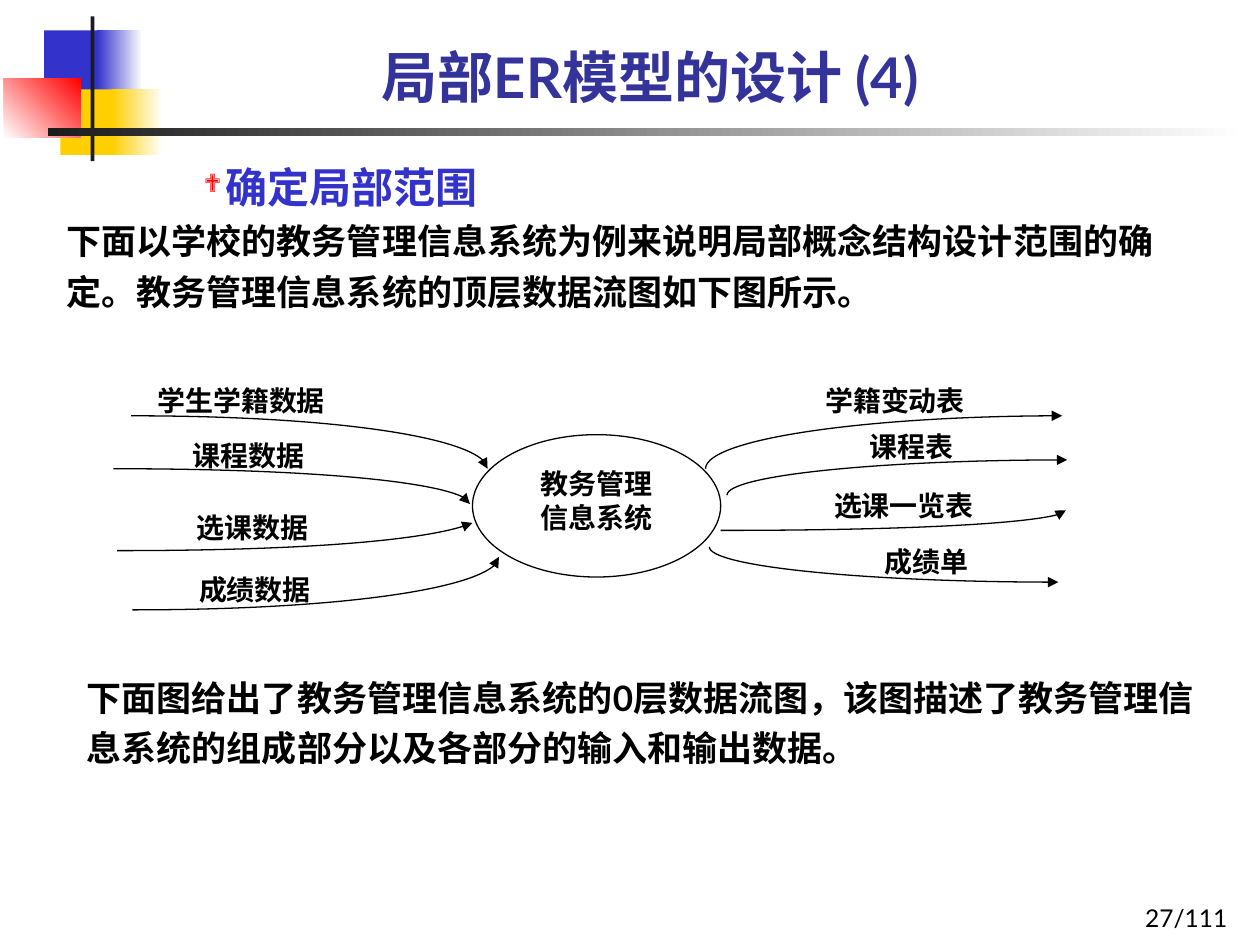
"""Build the slide on local ER design with its top-level data flow diagram."""
from dataclasses import dataclass

from lxml.etree import SubElement
from pptx import Presentation
from pptx.dml.color import RGBColor
from pptx.enum.shapes import MSO_SHAPE
from pptx.enum.text import MSO_ANCHOR, PP_ALIGN
from pptx.oxml.ns import qn
from pptx.util import Emu, Inches, Pt

COLUMNS, ROWS = 100, 75
CELL = Inches(0.1)
BLACK, INK, BLUE, YELLOW, RED, WHITE = "000000", "1C1C1C", "3333CC", "FFCF01", "FF0000", "FFFFFF"
ARC_PULL = 0.55


@dataclass(frozen=True)
class Box:
    column: float
    row: float
    columns: float
    rows: float


@dataclass(frozen=True)
class Block:
    box: Box
    start: str
    end: str = ""
    angle: int = 0


@dataclass(frozen=True)
class Style:
    size: int
    font: str = "Lato"
    color: str = BLACK
    bold: bool = True
    align: PP_ALIGN = PP_ALIGN.LEFT
    spacing: float = 1.0


@dataclass(frozen=True)
class Flow:
    label: str
    label_box: Box
    outer: tuple[float, float]
    inner: tuple[float, float]
    arrow: str
    lean: float = 0


ORNAMENT = [
    Block(Box(3.5, 2.4, 4.8, 5.2), BLUE),
    Block(Box(7.7, 2.4, 3.6, 5.2), BLUE, WHITE),
    Block(Box(4.8, 7.1, 4.6, 5.2), YELLOW),
    Block(Box(8.9, 7.1, 4, 5.2), YELLOW, WHITE),
    Block(Box(0.3, 6.2, 6.1, 4.7), WHITE, RED, 45),
    Block(Box(7.2, 1.3, 0.3, 11.5), INK),
    Block(Box(3.8, 10.2, 95.1, 0.6), INK, WHITE),
]

FLOWS = [
    Flow("学生学籍数据", Box(12.5, 30.4, 19.8, 2.8), (10.4, 33), (38.7, 37.2), "tailEnd"),
    Flow("课程数据", Box(15.3, 34.8, 13.9, 3.1), (9, 37.2), (37.3, 40), "tailEnd"),
    Flow("选课数据", Box(15.6, 40.5, 13.9, 3.1), (9.3, 43.7), (37.5, 41.5), "tailEnd", -2.7),
    Flow("成绩数据", Box(15.8, 45.4, 13.9, 3.1), (10.5, 48.4), (39.6, 44.2), "tailEnd"),
    Flow("学籍变动表", Box(65.5, 30.4, 17.6, 3.1), (84.3, 33), (56, 37.2), "headEnd"),
    Flow("课程表", Box(69, 34.1, 17.6, 3.1), (84.7, 36.5), (57.7, 39.3), "headEnd"),
    Flow("选课一览表", Box(66.2, 38.8, 17.6, 3.1), (57.2, 42.1), (84.6, 40.5), "tailEnd"),
    Flow("成绩单", Box(70.2, 43.2, 17.6, 3.1), (84, 46.2), (56.3, 43.4), "headEnd"),
]

TITLE = Style(32, color="333399", align=PP_ALIGN.CENTER)
HEADING = Style(24, color=BLUE, spacing=1.2)
BODY = Style(20, spacing=1.2)
PAGE = Style(14, bold=False, align=PP_ALIGN.RIGHT)
LABEL = Style(16, "Times New Roman", align=PP_ALIGN.JUSTIFY)
PROCESS = Style(16, "Times New Roman", align=PP_ALIGN.CENTER)


def cells(count: float) -> Emu:
    """Turn a count of grid cells into a length."""
    return Emu(round(count * CELL))


def place(box: Box) -> tuple[Emu, ...]:
    """Give left, top, width and height of a box."""
    return tuple(map(cells, (box.column, box.row, box.columns, box.rows)))


def rgb(color: str) -> RGBColor:
    """Read a hex string as a colour."""
    return RGBColor.from_string(color)


def write(frame, lines: list[tuple[str, Style]], anchor=MSO_ANCHOR.TOP, insets=None) -> None:
    """Fill a text frame with one styled paragraph per line."""
    frame.word_wrap = True
    frame.vertical_anchor = anchor
    if insets is not None:
        frame.margin_left, frame.margin_top, frame.margin_right, frame.margin_bottom = map(cells, insets)
    for index, (text, style) in enumerate(lines):
        paragraph = frame.add_paragraph() if index else frame.paragraphs[0]
        paragraph.alignment = style.align
        paragraph.line_spacing = style.spacing
        run = paragraph.add_run()
        run.text = text
        run.font.name = style.font
        run.font.size = Pt(style.size)
        run.font.bold = style.bold
        run.font.color.rgb = rgb(style.color)


def add_text(slide, box: Box, lines: list[tuple[str, Style]], **layout):
    """Add a text box and return its frame."""
    frame = slide.shapes.add_textbox(*place(box)).text_frame
    write(frame, lines, **layout)
    return frame


def add_bullet(paragraph) -> None:
    """Give a paragraph a small red diamond with a hanging indent."""
    properties = paragraph._p.get_or_add_pPr()
    properties.set("marL", str(cells(12.6)))
    properties.set("indent", str(cells(-1.7)))
    SubElement(SubElement(properties, qn("a:buClr")), qn("a:srgbClr"), val=RED)
    SubElement(properties, qn("a:buSzPct"), val="60000")
    SubElement(properties, qn("a:buFont"), typeface="Wingdings", charset="2")
    SubElement(properties, qn("a:buChar"), char="❖")


def draw_block(slide, block: Block) -> None:
    """Draw a plain or fading rectangle without an outline."""
    shape = slide.shapes.add_shape(MSO_SHAPE.RECTANGLE, *place(block.box))
    shape.shadow.inherit = False
    shape.line.fill.background()
    if not block.end:
        shape.fill.solid()
        shape.fill.fore_color.rgb = rgb(block.start)
        return
    shape.fill.gradient()
    shape.fill.gradient_angle = block.angle
    for stop, color, position in zip(shape.fill.gradient_stops, (block.start, block.end), (0, 1)):
        stop.color.rgb = rgb(color)
        stop.position = position


def outline(shape) -> None:
    """Give a shape a thin black line and no shadow."""
    shape.shadow.inherit = False
    shape.line.color.rgb = rgb(BLACK)
    shape.line.width = Pt(0.75)


def draw_curve(slide, flow: Flow):
    """Draw one cubic curve that leaves its outer end horizontally."""
    (x0, y0), (x3, y3) = flow.outer, flow.inner
    handles = [(x0 + ARC_PULL * (x3 - x0), y0), (x3 + flow.lean, y3 - ARC_PULL * (y3 - y0)), (x3, y3)]
    builder = slide.shapes.build_freeform(cells(x0), cells(y0), scale=1.0)
    builder.add_line_segments([(cells(x), cells(y)) for x, y in handles], close=False)
    curve = builder.convert_to_shape()
    segments = list(curve.element.iter(qn("a:lnTo")))
    track = segments[0].getparent()
    cubic = SubElement(track, qn("a:cubicBezTo"))
    for segment in segments:
        cubic.append(segment[0])
        track.remove(segment)
    return curve


def draw_flow(slide, flow: Flow) -> None:
    """Draw a curved arrow and its label."""
    curve = draw_curve(slide, flow)
    curve.fill.background()
    outline(curve)
    SubElement(curve.element.spPr.find(qn("a:ln")), qn(f"a:{flow.arrow}"), type="triangle")
    add_text(slide, flow.label_box, [(flow.label, LABEL)], insets=(0, 0, 0, 0))


def draw_process(slide) -> None:
    """Draw the central process of the diagram."""
    process = slide.shapes.add_shape(MSO_SHAPE.OVAL, *place(Box(37.5, 34.5, 19.7, 11.3)))
    process.fill.solid()
    process.fill.fore_color.rgb = rgb(WHITE)
    outline(process)
    write(process.text_frame, [("教务管理", PROCESS), ("信息系统", PROCESS)], insets=(0.8, 0.9, 0.8, 0.5))


def main() -> None:
    """Build and save the slide."""
    deck = Presentation()
    deck.slide_width, deck.slide_height = cells(COLUMNS), cells(ROWS)
    slide = deck.slides.add_slide(deck.slide_layouts[5])
    title = slide.shapes.title
    title.left, title.top, title.width, title.height = place(Box(9, 0.5, 85.2, 8.7))
    write(title.text_frame, [("局部ER模型的设计 (4)", TITLE)], anchor=MSO_ANCHOR.BOTTOM)
    for block in ORNAMENT:
        draw_block(slide, block)
    intro = add_text(slide, Box(4.3, 11.5, 90.6, 14.2), [
        ("确定局部范围", HEADING),
        ("下面以学校的教务管理信息系统为例来说明局部概念结构设计范围的确定。教务管理信息系统的顶层数据流图如下图所示。", BODY),
    ])
    add_bullet(intro.paragraphs[0])
    draw_process(slide)
    for flow in FLOWS:
        draw_flow(slide, flow)
    add_text(slide, Box(5.9, 52.5, 90.6, 9.4), [
        ("下面图给出了教务管理信息系统的0层数据流图，该图描述了教务管理信息系统的组成部分以及各部分的输入和输出数据。", BODY),
    ])
    add_text(slide, Box(77.6, 69.5, 20.8, 5), [("27/111", PAGE)], anchor=MSO_ANCHOR.BOTTOM)
    deck.save("out.pptx")


if __name__ == "__main__":
    main()
